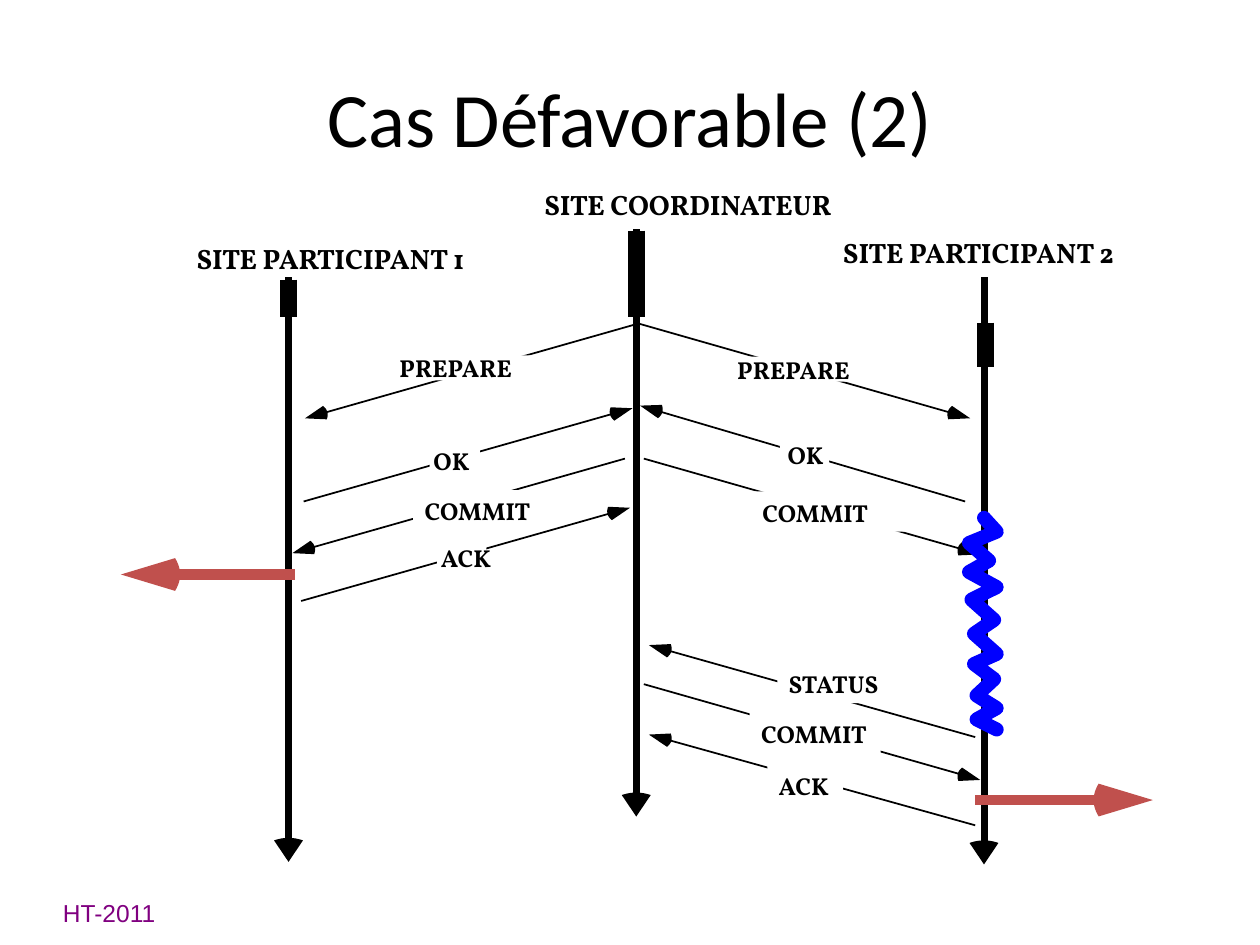
from dataclasses import dataclass
from math import hypot

from lxml import etree
from pptx import Presentation
from pptx import util as u
from pptx.dml.color import RGBColor
from pptx.enum import shapes, text
from pptx.oxml.ns import qn

COLUMNS, ROWS = 100, 75
CELL = u.Inches(0.1)


@dataclass(frozen=True)
class Theme:
    ink: str = "000000"
    paper: str = "FFFFFF"
    exit: str = "C0504D"
    failure: str = "0000FF"
    footer: str = "800080"
    title_font: str = "Calibri"
    label_font: str = "Vollkorn"
    footer_font: str = "Arial"
    title_size: int = 44
    site_size: int = 16
    label_size: int = 14


@dataclass(frozen=True)
class Head:
    """Arrowhead with a curved back, measured in grid cells."""
    length: float
    half_width: float
    bulge: float


MESSAGE_HEAD = Head(1.65, 0.55, 0.2)
LIFELINE_HEAD = Head(1.7, 1.15, 0.2)
EXIT_HEAD = Head(4.3, 1.3, 0.4)


def cells(*values):
    return [u.Emu(round(value * CELL)) for value in values]


def color(code):
    return RGBColor.from_string(code)


def write(frame, content, *, font, size, ink, bold=False,
          align=text.PP_ALIGN.LEFT, anchor=text.MSO_ANCHOR.TOP, wrap=False):
    frame.word_wrap = wrap
    frame.vertical_anchor = anchor
    if not wrap:
        frame.auto_size = text.MSO_AUTO_SIZE.SHAPE_TO_FIT_TEXT
    frame.margin_left = frame.margin_right = u.Inches(0.09)
    frame.margin_top = frame.margin_bottom = u.Inches(0.05)
    paragraph = frame.paragraphs[0]
    paragraph.alignment = align
    run = paragraph.add_run()
    run.text = content
    run.font.name, run.font.size, run.font.bold = font, u.Pt(size), bold
    run.font.color.rgb = color(ink)


class Diagram:
    def __init__(self, slide, theme):
        self.items = slide.shapes
        self.theme = theme

    def label(self, content, left, top, width, height, fill=None, **style):
        box = self.items.add_textbox(*cells(left, top, width, height))
        if fill:
            box.fill.solid()
            box.fill.fore_color.rgb = color(fill)
        write(box.text_frame, content, **style)

    def mask(self, left, top, width, height):
        gap = self.items.add_shape(shapes.MSO_SHAPE.RECTANGLE,
                                   *cells(left, top, width, height))
        gap.shadow.inherit = False
        gap.fill.solid()
        gap.fill.fore_color.rgb = color(self.theme.paper)
        gap.line.fill.background()

    def line(self, start, end, weight, ink):
        stroke = self.items.add_connector(shapes.MSO_CONNECTOR.STRAIGHT,
                                          *cells(*start, *end))
        stroke.line.width = u.Pt(weight)
        stroke.line.color.rgb = color(ink)
        etree.SubElement(stroke._element.spPr, qn("a:effectLst"))

    def outline(self, points, close):
        first, *rest = [cells(*point) for point in points]
        builder = self.items.build_freeform(*first)
        builder.add_line_segments(rest, close=close)
        outline = builder.convert_to_shape()
        outline.shadow.inherit = False
        return outline

    def arrow(self, start, tip, weight, ink, head):
        """Draw a shaft that stops in the curved back of its head."""
        dx, dy = tip[0] - start[0], tip[1] - start[1]
        size = hypot(dx, dy)
        dx, dy = dx / size, dy / size

        def behind(back, side):
            return (tip[0] - dx * back - dy * side,
                    tip[1] - dy * back + dx * side)

        steps = [step / 6 for step in range(-6, 7)]
        back_curve = [behind(head.length + head.bulge * (1 - t * t),
                             head.half_width * t) for t in steps]
        point = self.outline([tip, *back_curve], close=True)
        point.fill.solid()
        point.fill.fore_color.rgb = color(ink)
        point.line.fill.background()
        self.line(start, behind(head.length + head.bulge / 2, 0), weight, ink)

    def zigzag(self, points, weight, ink):
        wave = self.outline(points, close=False)
        wave.fill.background()
        wave.line.width = u.Pt(weight)
        wave.line.color.rgb = color(ink)
        stroke = wave.line._get_or_add_ln()
        stroke.set("cap", "rnd")
        etree.SubElement(stroke, qn("a:round"))


# x, top, tip of each site's lifeline
LIFELINES = [(22.9, 22, 68.4), (50.5, 18.2, 64.8), (78.1, 22, 68.6)]
# x, top, bottom, weight of each activity bar
ACTIVITIES = [(50.5, 18.3, 25.2, 10), (22.9, 22.2, 25.2, 10),
              (78.1, 22, 25.5, 2), (78.2, 25.6, 29.1, 10)]
MESSAGES = [
    ((50.6, 25.7), (24.2, 33.2)), ((50.4, 25.6), (77, 33.2)),
    ((24.1, 39.8), (50.2, 32.4)), ((76.6, 39.8), (50.8, 32.2)),
    ((49.6, 36.4), (23.2, 43.9)), ((51.1, 36.4), (77.8, 44)),
    ((23.9, 47.7), (50, 40.3)), ((77.4, 58.5), (51.5, 51.2)),
    ((51.1, 54.3), (77.8, 61.9)), ((77.4, 65.5), (51.5, 58.3)),
]
MASKS = [(31.6, 28.2, 11.7), (58.4, 28.3, 11.7), (34.1, 35.5, 4),
         (34.7, 43.2, 3.9), (61.9, 35.2, 3.9), (60.7, 39.1, 5.7),
         (62.3, 53.8, 3.9), (61.7, 60.6, 4)]
# content, left, top, width, and whether the box hides the line below it
LABELS = [
    ("PREPARE", 30.8, 27.5, 11.1, False), ("PREPARE", 57.6, 27.7, 11.1, False),
    ("OK", 33.5, 34.9, 4.8, False), ("ACK", 34.1, 42.6, 6, False),
    ("OK", 61.6, 34.4, 4.8, False), ("COMMIT", 32.8, 38.9, 10.4, True),
    ("COMMIT", 59.6, 39, 12.2, True), ("STATUS", 61.7, 52.6, 9.6, True),
    ("COMMIT", 59.5, 56.6, 10.4, True), ("ACK", 60.9, 60.7, 6, True),
]
SITES = [("SITE COORDINATEUR", 42.3, 14.4, 26.1),
         ("SITE PARTICIPANT 2", 66, 18.2, 24.9),
         ("SITE PARTICIPANT 1", 14.7, 18.7, 24.9)]
EXITS = [((23.4, 45.6), (9.6, 45.6)), ((77.4, 63.5), (91.5, 63.5))]
FAILURE = [(78.1, 41.1), (79.1, 42.2), (76.9, 43.1), (78.5, 44.5),
           (76.9, 45.4), (79.1, 46.6), (77.1, 47.6), (78.9, 49.2),
           (77.3, 50.3), (79.1, 51.9), (77.3, 52.7), (78.9, 53.9),
           (77.5, 55.2), (79.1, 56.2), (77.5, 57.1), (79.1, 57.9)]


def main():
    deck = Presentation()
    deck.slide_width, deck.slide_height = cells(COLUMNS, ROWS)
    theme = Theme()
    diagram = Diagram(deck.slides.add_slide(deck.slide_layouts[6]), theme)

    diagram.label("HT-2011", 4.1, 70.8, 9.6, 2.8, font=theme.footer_font,
                  size=theme.label_size, ink=theme.footer)
    diagram.label("Cas Défavorable (2)", 5, 3, 90, 12.5, wrap=True,
                  font=theme.title_font, size=theme.title_size, ink=theme.ink,
                  align=text.PP_ALIGN.CENTER, anchor=text.MSO_ANCHOR.MIDDLE)

    for x, top, tip in LIFELINES:
        diagram.arrow((x, top), (x, tip), 4, theme.ink, LIFELINE_HEAD)
    for x, top, bottom, weight in ACTIVITIES:
        diagram.line((x, top), (x, bottom), weight, theme.ink)
    for start, tip in MESSAGES:
        diagram.arrow(start, tip, 1, theme.ink, MESSAGE_HEAD)

    lettering = dict(font=theme.label_font, ink=theme.ink, bold=True)
    for left, top, width in MASKS:
        diagram.mask(left, top, width, 2)
    for content, left, top, width, hides in LABELS:
        diagram.label(content, left, top, width, 3.2,
                      fill=theme.paper if hides else None,
                      wrap=width > 12, size=theme.label_size, **lettering)
    diagram.zigzag(FAILURE, 8, theme.failure)
    for start, tip in EXITS:
        diagram.arrow(start, tip, 6, theme.exit, EXIT_HEAD)
    for content, left, top, width in SITES:
        diagram.label(content, left, top, width, 3.6,
                      size=theme.site_size, **lettering)

    deck.save("out.pptx")


if __name__ == "__main__":
    main()
